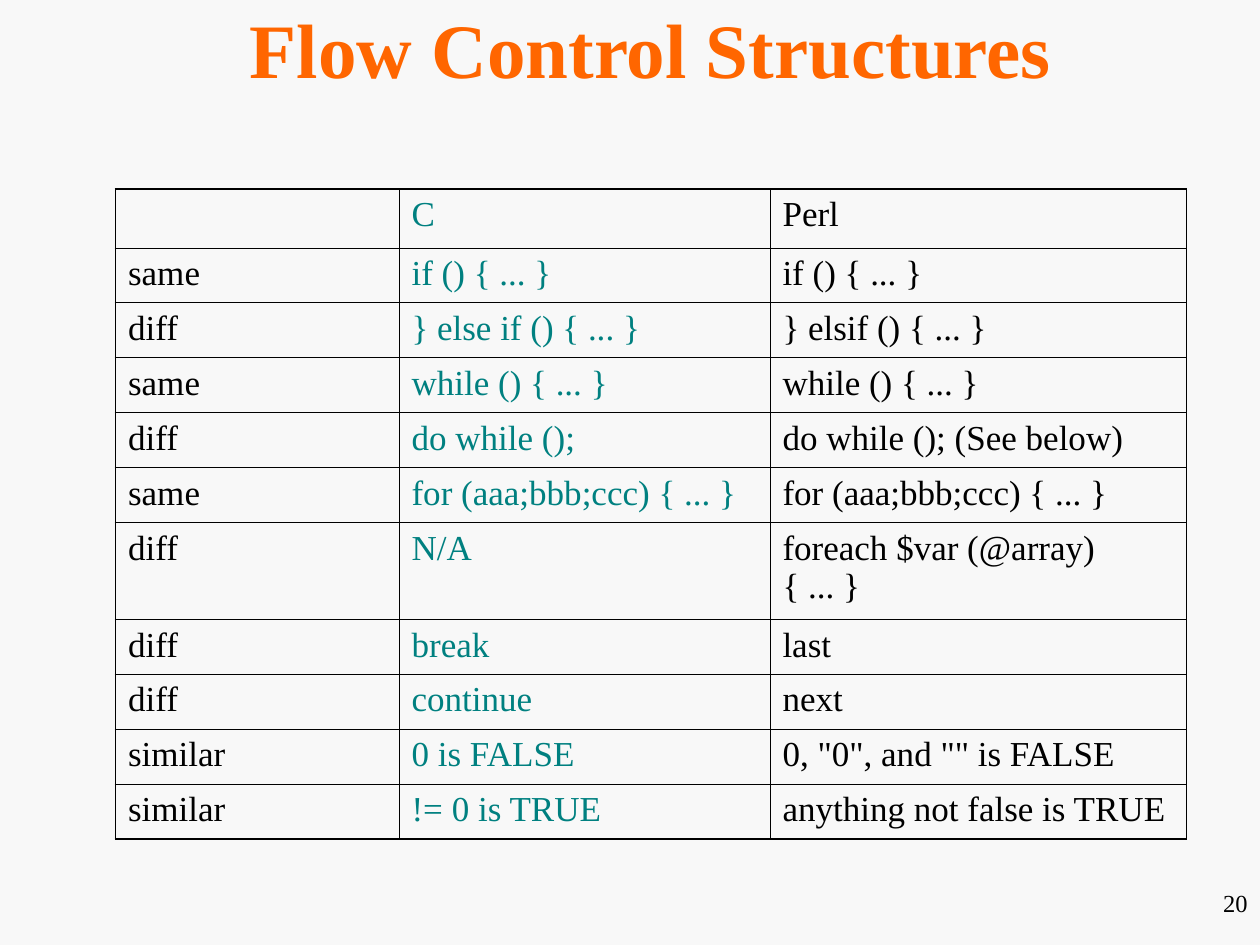
"""Build a slide comparing flow control structures in C and Perl."""
import pptx
import pptx.dml.color
import pptx.enum.text
import pptx.oxml
import pptx.oxml.ns
import pptx.util

Pt = pptx.util.Pt
FONT = "Times New Roman"
COLORS = {"background": "F8F8F8", "title": "FF6600", "c": "008080", "text": "000000"}
ROWS = [
    ("", "C", "Perl"),
    ("same", "if () { ... }", "if () { ... }"),
    ("diff", "} else if () { ... }", "} elsif () { ... }"),
    ("same", "while () { ... }", "while () { ... }"),
    ("diff", "do while ();", "do while (); (See below)"),
    ("same", "for (aaa;bbb;ccc) { ... }", "for (aaa;bbb;ccc) { ... }"),
    ("diff", "N/A", "foreach $var (@array) { ... }"),
    ("diff", "break", "last"),
    ("diff", "continue", "next"),
    ("similar", "0 is FALSE", '0, "0", and "" is FALSE'),
    ("similar", "!= 0 is TRUE", "anything not false is TRUE"),
]
COLUMN_WIDTHS = [162, 212, 238]
ROW_HEIGHTS = [33.7] + [31.4] * 5 + [55.4] + [31.4] * 4
COLUMN_COLORS = ["text", "c", "text"]
THIN, THICK = 0.45, 1.08


def add_span(para, text, size, color, bold=False):
    span = para.add_run()
    span.text = text
    span.font.name = FONT
    span.font.size = Pt(size)
    span.font.bold = bold
    span.font.color.rgb = pptx.dml.color.RGBColor.from_string(COLORS[color])


def set_border(cell, side, width):
    cell._tc.get_or_add_tcPr().append(pptx.oxml.parse_xml(
        f'<a:ln{side} {pptx.oxml.ns.nsdecls("a")} w="{int(Pt(width))}"><a:solidFill>'
        f'<a:srgbClr val="{COLORS["text"]}"/></a:solidFill></a:ln{side}>'))


deck = pptx.Presentation()
deck.slide_width, deck.slide_height = Pt(720), Pt(540)
page = deck.slides.add_slide(deck.slide_layouts[6])
page.background.fill.solid()
page.background.fill.fore_color.rgb = pptx.dml.color.RGBColor.from_string(COLORS["background"])

align = pptx.enum.text.PP_ALIGN
anchor = pptx.enum.text.MSO_ANCHOR
for text, bounds, size, color, bold, alignment, vertical in [
    ("Flow Control Structures", (66, 0, 612, 54), 44, "title", True, align.CENTER, anchor.MIDDLE),
    ("20", (570, 504, 150, 36), 14, "text", False, align.RIGHT, anchor.TOP),
]:
    box = page.shapes.add_textbox(*map(Pt, bounds))
    box.text_frame.word_wrap = True
    box.text_frame.vertical_anchor = vertical
    para = box.text_frame.paragraphs[0]
    para.alignment = alignment
    add_span(para, text, size, color, bold)

table = page.shapes.add_table(
    len(ROWS), len(COLUMN_WIDTHS), Pt(66), Pt(108),
    Pt(sum(COLUMN_WIDTHS)), Pt(sum(ROW_HEIGHTS))).table
table.first_row = table.horz_banding = False
for column, width in zip(table.columns, COLUMN_WIDTHS):
    column.width = Pt(width)
for row, height in zip(table.rows, ROW_HEIGHTS):
    row.height = Pt(height)

last_row, last_column = len(ROWS) - 1, len(COLUMN_WIDTHS) - 1
for row_index, texts in enumerate(ROWS):
    for column_index, text in enumerate(texts):
        cell = table.cell(row_index, column_index)
        for side, is_outer in [
            ("L", column_index == 0), ("R", column_index == last_column),
            ("T", row_index == 0), ("B", row_index == last_row),
        ]:
            set_border(cell, side, THICK if is_outer else THIN)
        cell.fill.background()
        para = cell.text_frame.paragraphs[0]
        para.space_before = Pt(5)
        if text:
            add_span(para, text, 20, COLUMN_COLORS[column_index])

deck.save("out.pptx")
